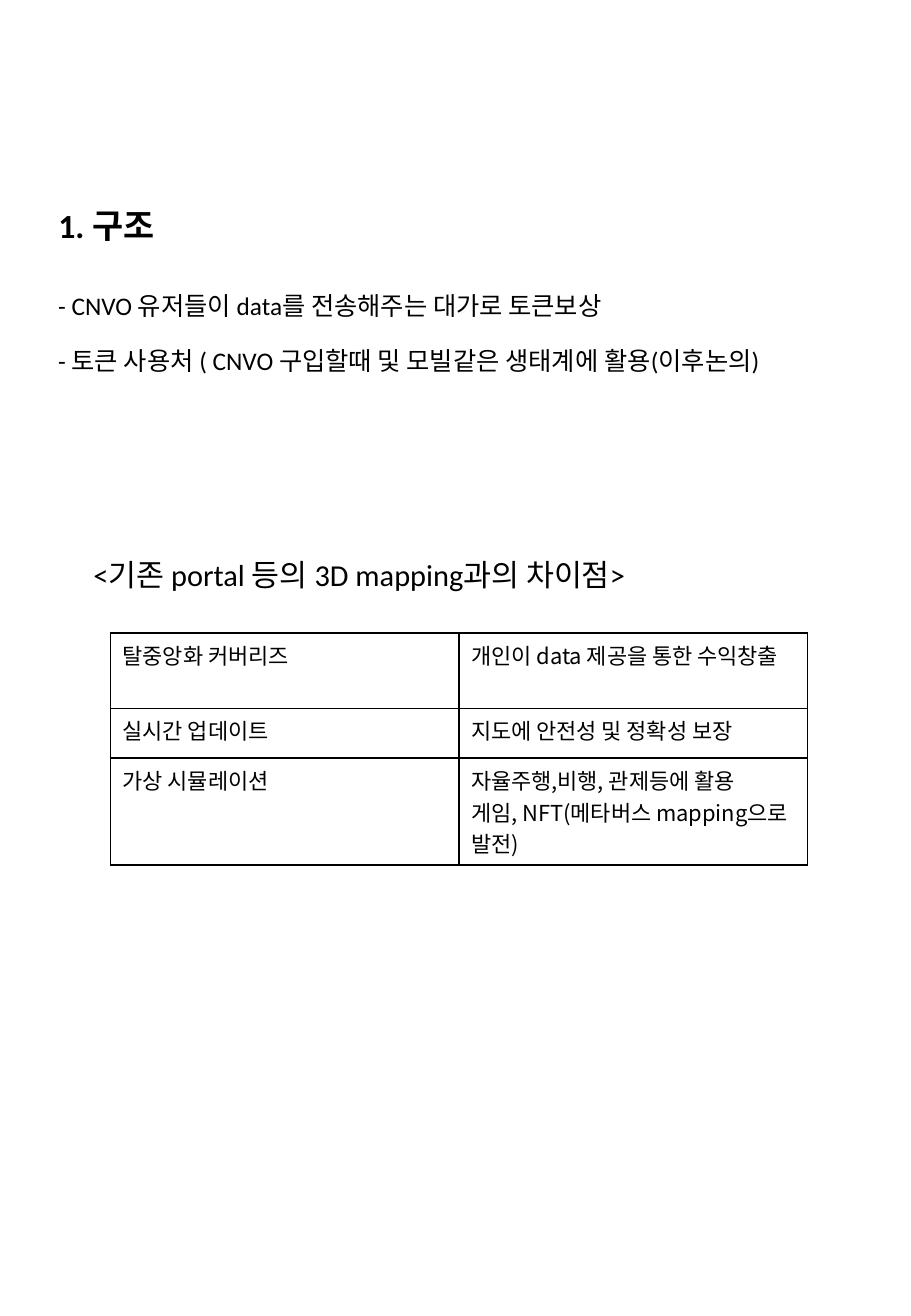
from lxml import etree
from pptx import Presentation
from pptx.dml.color import RGBColor
from pptx.enum import text
from pptx.oxml.ns import qn
from pptx.util import Inches, Pt

LATIN = "Calibri"
KOREAN = "Noto Sans CJK KR"
BLACK = "000000"

TOKEN_POINTS = [
    "- CNVO 유저들이 data를 전송해주는 대가로 토큰보상",
    "- 토큰 사용처 ( CNVO 구입할때 및 모빌같은 생태계에 활용(이후논의)",
]
DIFFERENCES = [
    ("탈중앙화 커버리즈", "개인이 data 제공을 통한 수익창출"),
    ("실시간 업데이트", "지도에 안전성 및 정확성 보장"),
    ("가상 시뮬레이션", "자율주행,비행, 관제등에 활용\n게임, NFT(메타버스 mapping으로 발전)"),
]
ROW_HEIGHTS = [0.62, 0.41, 0.88]


def color(value):
    return RGBColor.from_string(value)


def write(frame, content, size, font=LATIN, bold=False, gap=0):
    """Fill a text frame, one paragraph per line."""
    frame.word_wrap = True
    frame.text = content
    for index, paragraph in enumerate(frame.paragraphs):
        paragraph.alignment = text.PP_ALIGN.LEFT
        paragraph.space_before = Pt(gap if index else 0)
        paragraph.font.size = Pt(size)
        paragraph.font.bold = bold
        paragraph.font.color.rgb = color(BLACK)
        paragraph.font.name = font
        defaults = paragraph._p.pPr.find(qn("a:defRPr"))
        etree.SubElement(defaults, qn("a:ea"), typeface=KOREAN)


def add_heading(slide, left, top, width, height):
    title = slide.shapes.title
    title.left, title.top = Inches(left), Inches(top)
    title.width, title.height = Inches(width), Inches(height)
    write(title.text_frame, "1. 구조", 20, bold=True)
    title.text_frame.vertical_anchor = text.MSO_ANCHOR.MIDDLE


def add_text(slide, content, size, left, top, width, height, gap=0):
    box = slide.shapes.add_textbox(
        Inches(left), Inches(top), Inches(width), Inches(height))
    write(box.text_frame, content, size, gap=gap)
    box.text_frame.vertical_anchor = text.MSO_ANCHOR.MIDDLE


def outline(cell):
    """Draw a thin line on all four sides of a cell."""
    properties = cell._tc.get_or_add_tcPr()
    for index, side in enumerate(("lnL", "lnR", "lnT", "lnB")):
        line = etree.Element(qn(f"a:{side}"), w=str(Pt(1)))
        fill = etree.SubElement(line, qn("a:solidFill"))
        etree.SubElement(fill, qn("a:srgbClr"), val=BLACK)
        properties.insert(index, line)


def add_differences(slide, left, top, width):
    table = slide.shapes.add_table(
        len(DIFFERENCES), 2, Inches(left), Inches(top),
        Inches(width), Inches(sum(ROW_HEIGHTS))).table
    table.first_row = table.horz_banding = False
    for column in table.columns:
        column.width = Inches(width / 2)
    for row, height, contents in zip(table.rows, ROW_HEIGHTS, DIFFERENCES):
        row.height = Inches(height)
        for cell, content in zip(row.cells, contents):
            cell.fill.background()
            outline(cell)
            write(cell.text_frame, content, 13, font=KOREAN)


def main():
    deck = Presentation()
    deck.slide_width, deck.slide_height = Inches(7.5), Inches(10.83)
    slide = deck.slides.add_slide(deck.slide_layouts[5])

    # Structure and token rewards
    add_heading(slide, 0.38, 1.58, 6.75, 0.55)
    add_text(slide, "\n".join(TOKEN_POINTS), 15, 0.38, 2.24, 6.75, 1, gap=14.4)

    # Comparison with existing mapping services
    add_text(slide, "<기존 portal 등의 3D mapping과의 차이점>", 18,
             0.67, 4.53, 5.11, 0.39)
    add_differences(slide, 0.91, 5.21, 5.74)

    deck.save("out.pptx")


if __name__ == "__main__":
    main()
